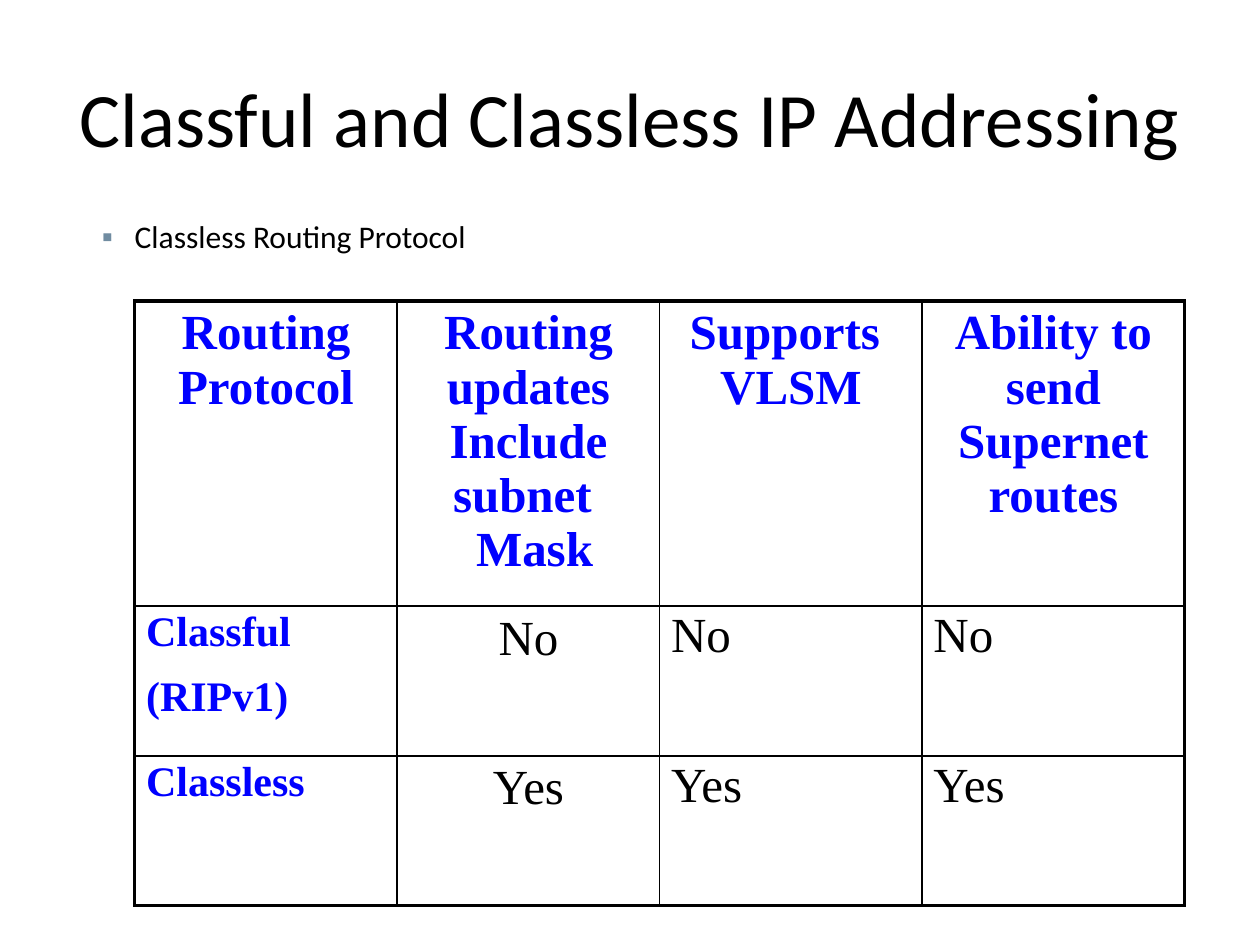
from lxml import etree
from pptx import Presentation
from pptx.dml.color import RGBColor
from pptx.enum.text import MSO_ANCHOR, PP_ALIGN
from pptx.oxml.ns import qn
from pptx.util import Pt

LEFT, MID = PP_ALIGN.LEFT, PP_ALIGN.CENTER
TOP, CENTER = MSO_ANCHOR.TOP, MSO_ANCHOR.MIDDLE
SERIF, SANS = "Times New Roman", "Calibri"
BLACK, BLUE, SLATE = "000000", "0000FF", "708CA1"
THIN, THICK = 1, 2.25
WIDTHS = [150] * 4
HEIGHTS = [174.4, 85.6, 85.6]
INSETS = dict(margin_left=Pt(6.5), margin_right=Pt(6.5),
              margin_top=Pt(3), margin_bottom=Pt(3))
CENTRED = dict(alignment=MID, line_spacing=1.0, space_before=Pt(0))
HEAD = dict(name=SERIF, size=Pt(28), bold=True)
LABEL = dict(name=SERIF, size=Pt(24), bold=True)
VALUE = dict(name=SERIF, size=Pt(28), bold=False)
ROWS = [
    [["Routing", "Protocol"],
     ["Routing updates", "Include subnet ", " Mask"],
     ["Supports ", "VLSM"],
     ["Ability to send", "Supernet routes"]],
    [["Classful", "(RIPv1)"], ["No"], ["No"], ["No"]],
    [["Classless"], ["Yes"], ["Yes"], ["Yes"]],
]


def rgb(code):
    return RGBColor.from_string(code)


def apply(item, values):
    for key, value in values.items():
        setattr(item, key, value)


def spaced(size):
    return dict(alignment=LEFT, line_spacing=0.95, space_before=Pt(size / 2))


def write(frame, lines, font, color, para):
    for i, line in enumerate(lines):
        p = frame.add_paragraph() if i else frame.paragraphs[0]
        apply(p, para)
        run = p.add_run()
        run.text = line
        apply(run.font, font)
        run.font.color.rgb = rgb(color)


def place(shape, left, top, width, height):
    apply(shape, dict(left=Pt(left), top=Pt(top),
                      width=Pt(width), height=Pt(height)))


def add_mark(p, char, color, indent):
    props = p._p.get_or_add_pPr()
    props.set("marL", str(Pt(indent)))
    props.set("indent", str(-Pt(indent)))
    tint = etree.SubElement(props, qn("a:buClr"))
    etree.SubElement(tint, qn("a:srgbClr"), val=color)
    etree.SubElement(props, qn("a:buFont"), typeface="Arial")
    etree.SubElement(props, qn("a:buChar"), char=char)


def add_edge(cell, side, width):
    line = etree.SubElement(cell._tc.get_or_add_tcPr(), qn("a:ln" + side),
                            w=str(Pt(width)))
    fill = etree.SubElement(line, qn("a:solidFill"))
    etree.SubElement(fill, qn("a:srgbClr"), val=BLACK)


def style(row, col):
    if row == 0:
        return HEAD, BLUE, CENTRED
    if col == 0:
        return LABEL, BLUE, spaced(24)
    return VALUE, BLACK, CENTRED if col == 1 else spaced(28)


def add_cell(cell, lines, row, col):
    apply(cell, INSETS)
    write(cell.text_frame, lines, *style(row, col))
    outer = dict(L=col == 0, R=col == len(WIDTHS) - 1,
                 T=row == 0, B=row == len(HEIGHTS) - 1)
    for side, edge in outer.items():
        add_edge(cell, side, THICK if edge else THIN)
    cell.fill.background()


def add_grid(slide, left, top):
    table = slide.shapes.add_table(
        len(HEIGHTS), len(WIDTHS), Pt(left), Pt(top),
        Pt(sum(WIDTHS)), Pt(sum(HEIGHTS))).table
    apply(table, dict(first_row=False, horz_banding=False))
    for col, width in zip(table.columns, WIDTHS):
        col.width = Pt(width)
    for row, height in zip(table.rows, HEIGHTS):
        row.height = Pt(height)
    for r, row in enumerate(ROWS):
        for c, lines in enumerate(row):
            add_cell(table.cell(r, c), lines, r, c)


def add_title(slide, text):
    title = slide.shapes.title
    place(title, 36, 21.6, 648, 90)
    title.text_frame.vertical_anchor = CENTER
    write(title.text_frame, [text], dict(name=SANS, size=Pt(44)), BLACK,
          dict(alignment=MID))


def add_list(slide, lines):
    body = slide.placeholders[1]
    place(body, 51.8, 122.4, 625, 38)
    frame = body.text_frame
    apply(frame, INSETS | dict(vertical_anchor=TOP, word_wrap=True))
    write(frame, lines, dict(name=SANS, size=Pt(18)), BLACK, spaced(18))
    for p in frame.paragraphs:
        add_mark(p, "▪", SLATE, 18.7)


def main():
    deck = Presentation()
    apply(deck, dict(slide_width=Pt(720), slide_height=Pt(540)))
    slide = deck.slides.add_slide(deck.slide_layouts[1])
    add_title(slide, "Classful and Classless IP Addressing")
    add_list(slide, ["Classless Routing Protocol"])
    add_grid(slide, 77, 172)
    deck.save("out.pptx")


if __name__ == "__main__":
    main()
